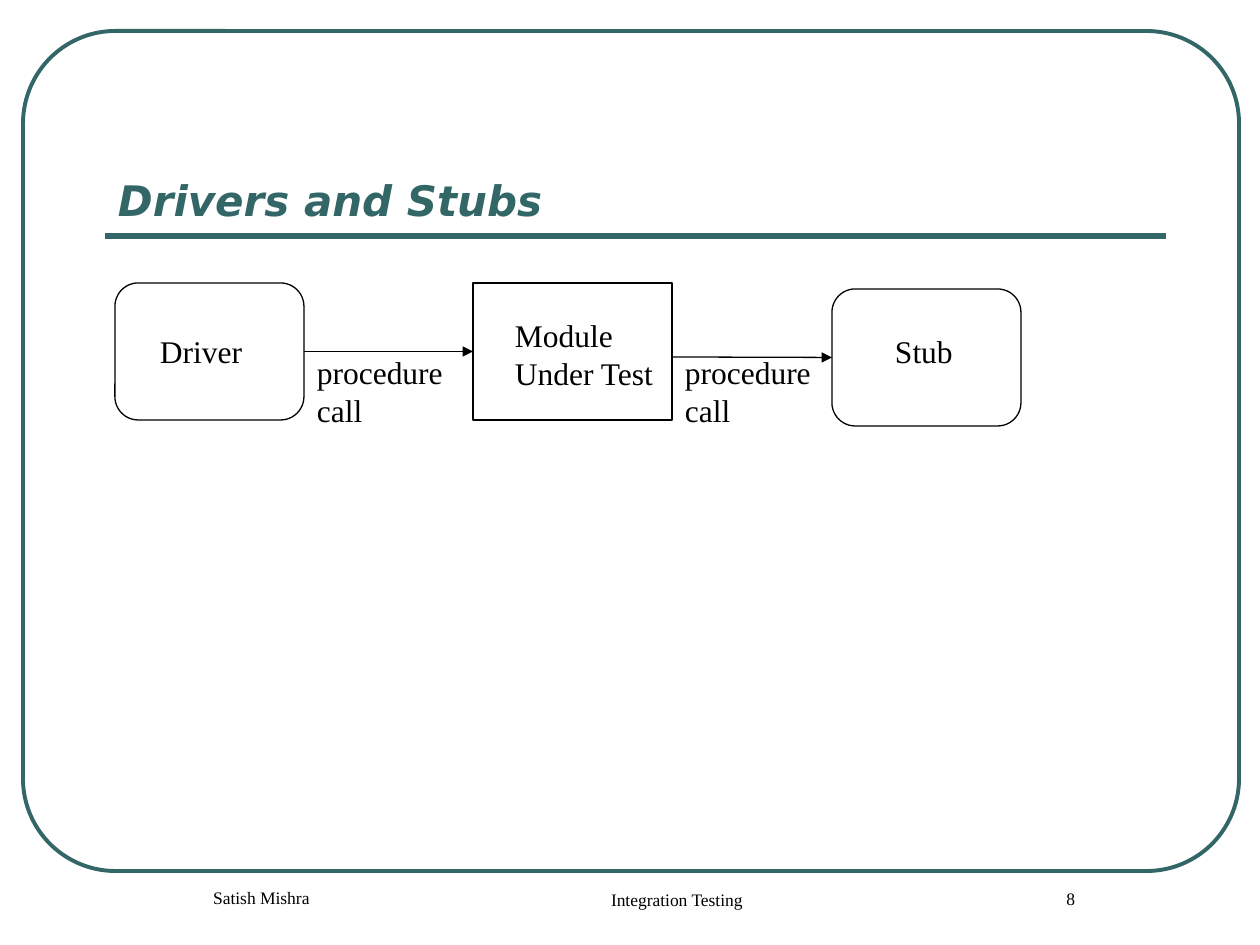
import pptx
import pptx.dml.color
import pptx.enum.shapes
import pptx.enum.text
import pptx.oxml
import pptx.oxml.ns
import pptx.util

EMU_PER_PX = 914400 / 126
COLORS = {"teal": "336666", "black": "000000"}
SHAPE = pptx.enum.shapes.MSO_SHAPE
ALIGN = pptx.enum.text.PP_ALIGN
ANCHOR = pptx.enum.text.MSO_ANCHOR
FIT = pptx.enum.text.MSO_AUTO_SIZE
TITLE = {"name": "DejaVu Sans", "size": pptx.util.Pt(24), "bold": True, "italic": True}
LABEL = {"name": "Times New Roman", "size": pptx.util.Pt(18)}
FOOTER = {"name": "Times New Roman", "size": pptx.util.Pt(10)}


def px(value):
    return pptx.util.Emu(round(value * EMU_PER_PX))


def rgb(color):
    return pptx.dml.color.RGBColor.from_string(COLORS[color])


def drawing_element(markup):
    return pptx.oxml.parse_xml(f"<a:{markup} {pptx.oxml.ns.nsdecls('a')}/>")


def style_line(item, color, width):
    item.line.color.rgb = rgb(color)
    item.line.width = pptx.util.Pt(width)


def add_outline(slide, kind, bounds, color="black", width=0.75, corner=None):
    shape = slide.shapes.add_shape(kind, *map(px, bounds))
    shape.shadow.inherit = False
    shape.fill.background()
    style_line(shape, color, width)
    if corner is not None:
        shape.adjustments[0] = corner
    return shape


def add_line(slide, start, end, color="black", width=0.75, arrow=False):
    line = slide.shapes.add_connector(
        pptx.enum.shapes.MSO_CONNECTOR.STRAIGHT, *map(px, start + end)
    )
    style_line(line, color, width)
    properties = line._element.spPr
    if arrow:
        head = drawing_element("tailEnd")
        head.set("type", "triangle")
        properties.find(pptx.oxml.ns.qn("a:ln")).append(head)
    properties.append(drawing_element("effectLst"))
    return line


def add_text(slide, bounds, lines, font, color="black", wrap=True,
             anchor=ANCHOR.TOP, align=ALIGN.LEFT, indent=0):
    box = slide.shapes.add_textbox(*map(px, bounds))
    frame = box.text_frame
    frame.word_wrap = wrap
    frame.auto_size = FIT.NONE if wrap else FIT.SHAPE_TO_FIT_TEXT
    frame.vertical_anchor = anchor
    frame.margin_left = px(13 + indent)
    for index, text in enumerate(lines):
        para = frame.paragraphs[0] if index == 0 else frame.add_paragraph()
        para.alignment = align
        span = para.add_run()
        span.text = text
        for name, value in font.items():
            setattr(span.font, name, value)
        span.font.color.rgb = rgb(color)


def main():
    deck = pptx.Presentation()
    deck.slide_width, deck.slide_height = px(1260), px(945)
    slide = deck.slides.add_slide(deck.slide_layouts[6])

    add_outline(slide, SHAPE.ROUNDED_RECTANGLE, (23, 31, 1216, 840), "teal", 2.25, 0.11)
    add_line(slide, (105, 236), (1166, 236), "teal", 3)
    add_text(slide, (105, 73, 1061, 158), ["Drivers and Stubs"], TITLE, "teal",
             anchor=ANCHOR.BOTTOM)

    driver = add_outline(slide, SHAPE.ROUNDED_RECTANGLE, (115, 283, 189, 137), corner=0.17)
    module = add_outline(slide, SHAPE.RECTANGLE, (473, 283, 199, 137))
    stub = add_outline(slide, SHAPE.ROUNDED_RECTANGLE, (832, 289, 189, 137), corner=0.17)

    labels = [
        ((147, 326, 108, 50), ["Driver"]),
        ((502, 310, 166, 88), ["Module", "Under Test"]),
        ((882, 326, 84, 50), ["Stub"]),
    ]
    labels += [((left, 347, 152, 88), ["procedure", "call"]) for left in (304, 672)]
    for bounds, lines in labels:
        add_text(slide, bounds, lines, LABEL, wrap=False)

    driver_call = add_line(slide, (304, 351), (473, 351), arrow=True)
    driver_call.begin_connect(driver, 3)
    driver_call.end_connect(module, 1)
    stub_call = add_line(slide, (672, 357), (832, 357), arrow=True)
    stub_call.end_connect(stub, 1)

    for bounds, text in [
        ((462, 883, 399, 63), "Integration Testing"),
        ((945, 882, 221, 63), "8"),
        ((104, 881, 284, 63), "Satish Mishra"),
    ]:
        add_text(slide, bounds, [text], FOOTER, align=ALIGN.CENTER, indent=30)

    deck.save("out.pptx")


if __name__ == "__main__":
    main()
